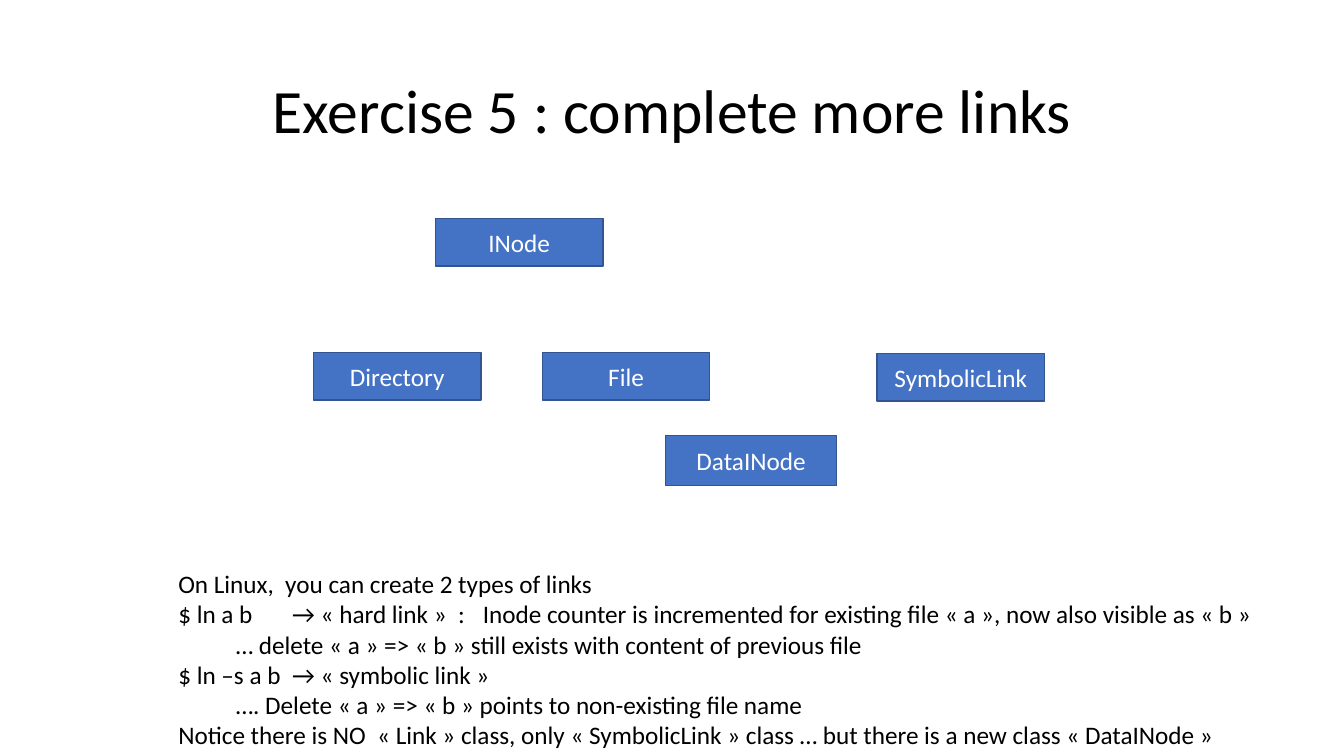
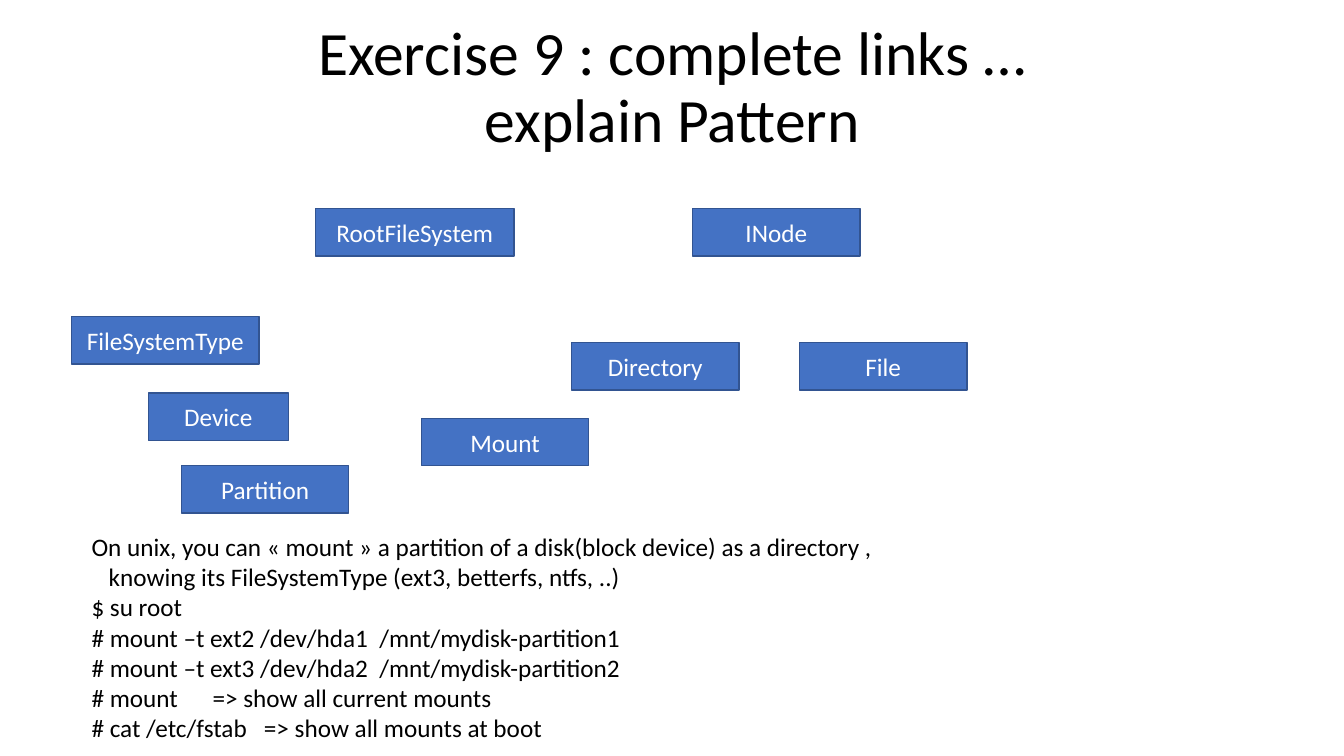
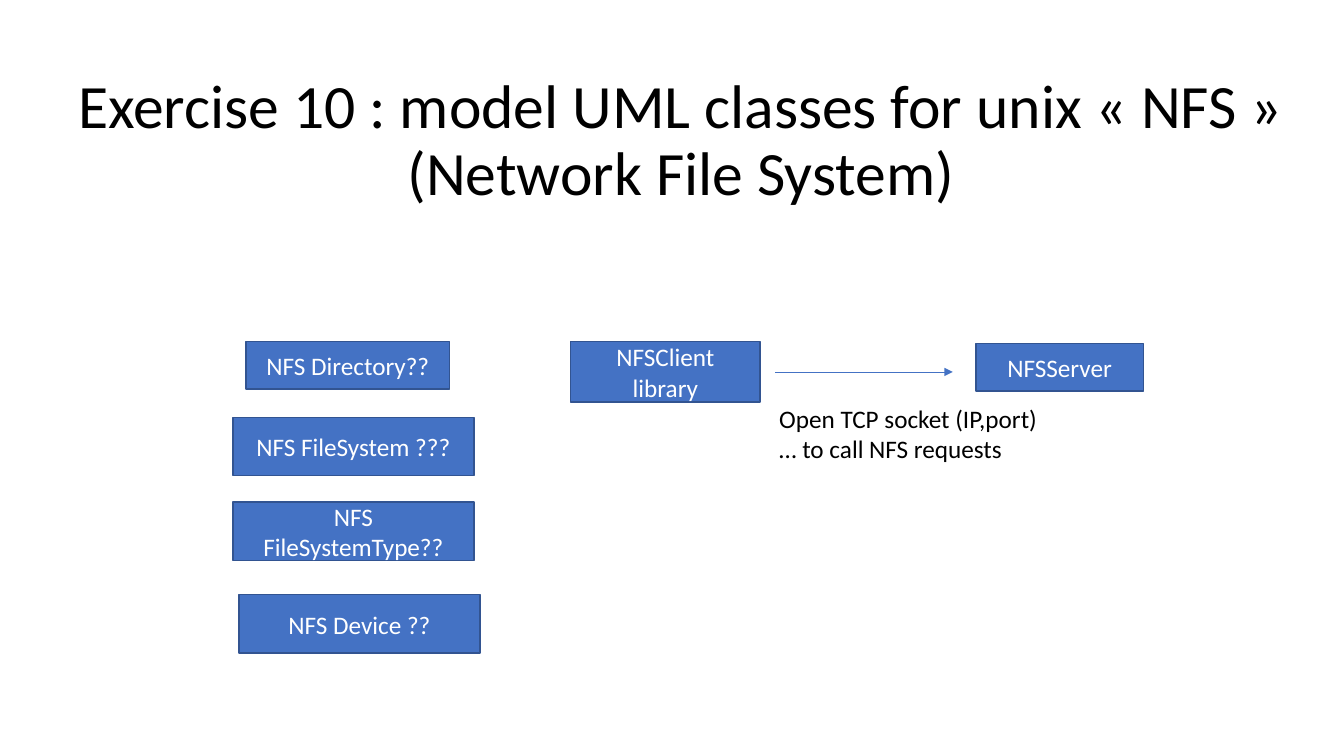
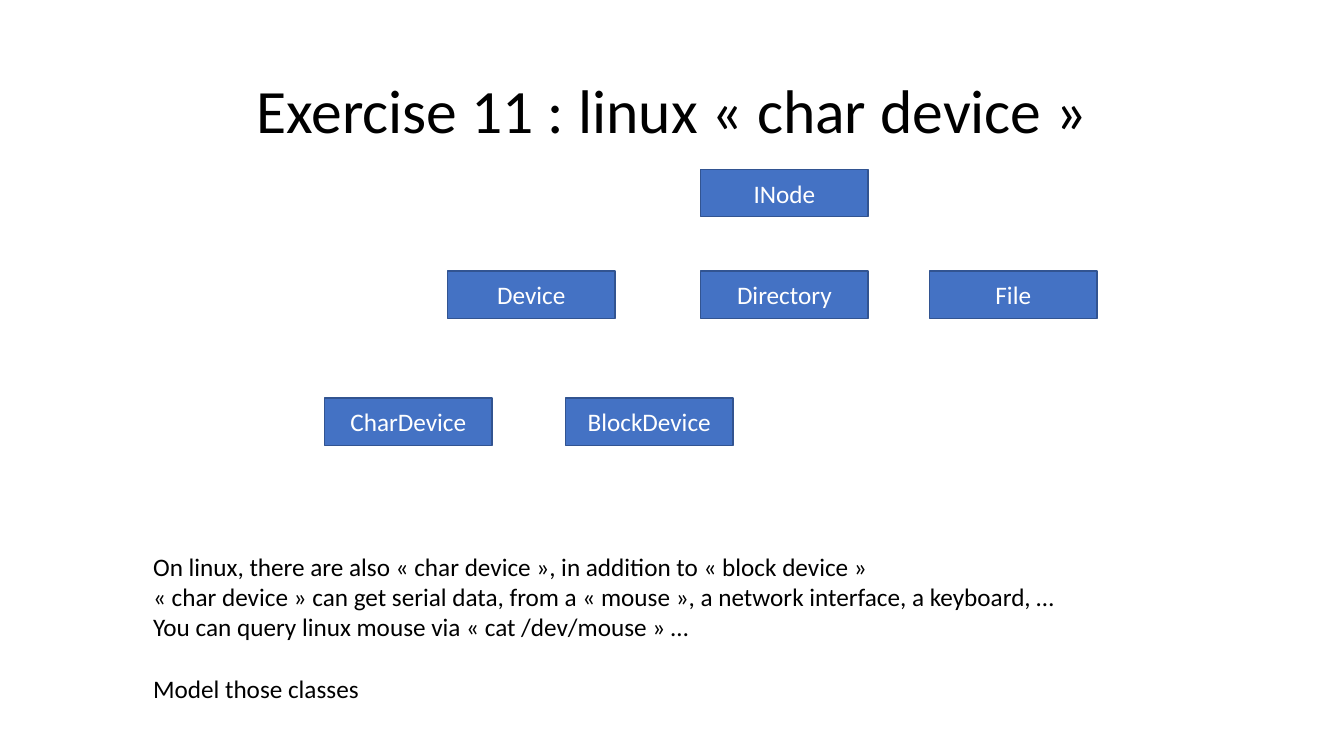
from dataclasses import dataclass

import pptx
import pptx.dml.color
import pptx.enum.shapes
import pptx.enum.text
import pptx.oxml
import pptx.oxml.ns
import pptx.slide
import pptx.text.text
import pptx.util
from pptx.util import Inches

Color = pptx.dml.color.RGBColor
Align = pptx.enum.text.PP_ALIGN
Anchor = pptx.enum.text.MSO_ANCHOR

BLUE = Color(0x44, 0x72, 0xC4)
NAVY = Color(0x32, 0x54, 0x91)
WHITE = Color(0xFF, 0xFF, 0xFF)
BLACK = Color(0x00, 0x00, 0x00)
FONT = "Calibri"
HEAD, BODY = 44, 18
NS = pptx.oxml.ns.nsdecls("a")


@dataclass(frozen=True)
class Box:
    """A class of the model; sizes are in inches."""
    text: str
    left: float
    top: float
    width: float = 1.66
    height: float = 0.47


@dataclass(frozen=True)
class Line:
    """One line of a note; indent and tab stops are in inches."""
    text: str
    indent: float = 0
    tabs: tuple[float, ...] = ()
    before: float = 0


@dataclass(frozen=True)
class Area:
    left: float
    top: float
    width: float
    height: float


@dataclass(frozen=True)
class Note:
    area: Area
    lines: tuple[Line, ...]


@dataclass(frozen=True)
class Arrow:
    left: float
    right: float
    y: float


@dataclass(frozen=True)
class Page:
    title: str
    boxes: tuple[Box, ...]
    note: Note
    area: Area = Area(0.92, 0.4, 11.5, 1.45)
    arrow: Arrow | None = None


PAGES = (
    Page(
        "Exercise 5 : complete more links",
        (
            Box("INode", 4.32, 2.17),
            Box("Directory", 3.11, 3.5),
            Box("File", 5.38, 3.5),
            Box("SymbolicLink", 8.7, 3.51),
            Box("DataINode", 6.6, 4.32, 1.7, 0.5),
        ),
        Note(Area(1.67, 5.59, 11.01, 1.92), (
            Line("On Linux,  you can create 2 types of links"),
            Line("$ ln a b\t→ « hard link »  :\tInode counter is incremented for "
                 "existing file « a », now also visible as « b »", tabs=(1.13, 3.02)),
            Line("… delete « a » => « b » still exists with content of previous file",
                 indent=0.57),
            Line("$ ln –s a b\t→ « symbolic link »", tabs=(1.13,)),
            Line("…. Delete « a » => « b » points to non-existing file name",
                 indent=0.57),
            Line("Notice there is NO  « Link » class, only « SymbolicLink » class … "
                 "but there is a new class « DataINode »"),
        )),
    ),
    Page(
        "Exercise 9 : complete links …\nexplain Pattern",
        (
            Box("RootFileSystem", 3.13, 2.07, 1.97),
            Box("INode", 6.87, 2.07),
            Box("FileSystemType", 0.71, 3.14, 1.86),
            Box("Directory", 5.67, 3.4),
            Box("File", 7.93, 3.4),
            Box("Device", 1.47, 3.9, 1.39),
            Box("Mount", 4.18, 4.15),
            Box("Partition", 1.8, 4.62),
        ),
        Note(Area(0.81, 5.22, 8.1, 2.22), (
            Line("On unix, you can « mount » a partition of a disk(block device) "
                 "as a directory ,"),
            Line("knowing its FileSystemType (ext3, betterfs, ntfs, ..)", indent=0.17),
            Line("$ su root"),
            Line("# mount –t ext2 /dev/hda1  /mnt/mydisk-partition1"),
            Line("# mount –t ext3 /dev/hda2  /mnt/mydisk-partition2"),
            Line("# mount\t=> show all current mounts", tabs=(1.2,)),
            Line("# cat /etc/fstab\t=> show all mounts at boot", tabs=(1.71,)),
        )),
        area=Area(0.92, 0.16, 11.5, 1.45),
    ),
    Page(
        "Exercise 10 : model UML classes for unix « NFS » (Network File System)",
        (
            Box("NFS Directory??", 2.44, 3.39, 2.02),
            Box("NFS FileSystem ???", 2.31, 4.14, 2.39, 0.58),
            Box("NFS FileSystemType??", 2.31, 4.98, 2.39, 0.58),
            Box("NFS Device ??", 2.37, 5.9, 2.39, 0.58),
            Box("NFSClient\nlibrary", 5.66, 3.39, 1.88, 0.6),
            Box("NFSServer", 9.68, 3.41),
        ),
        Note(Area(7.63, 3.95, 2.79, 0.71), (
            Line("Open TCP socket (IP,port)"),
            Line("… to call NFS requests"),
        )),
        area=Area(0.4, 0.41, 12.71, 2),
        arrow=Arrow(7.69, 9.45, 3.69),
    ),
    Page(
        "Exercise 11 : linux « char device »",
        (
            Box("INode", 6.95, 1.68),
            Box("Device", 4.44, 2.69),
            Box("Directory", 6.95, 2.69),
            Box("File", 9.22, 2.69),
            Box("CharDevice", 3.22, 3.95),
            Box("BlockDevice", 5.61, 3.95),
        ),
        Note(Area(1.42, 5.42, 9.25, 1.92), (
            Line("On linux, there are also « char device », in addition to "
                 "« block device »"),
            Line("« char device » can get serial data, from a « mouse », "
                 "a network interface, a keyboard, …"),
            Line("You can query linux mouse via « cat /dev/mouse » …"),
            Line("Model those classes", before=22),
        )),
    ),
)


def write(para: pptx.text.text._Paragraph, text: str, size: float, color: Color) -> None:
    """Add the text as runs, with a line break at each newline."""
    for i, part in enumerate(text.split("\n")):
        if i:
            para.add_line_break()
        run = para.add_run()
        run.text = part
        run.font.name = FONT
        run.font.size = pptx.util.Pt(size)
        run.font.color.rgb = color


def add_frame(slide: pptx.slide.Slide, area: Area) -> pptx.text.text.TextFrame:
    shape = slide.shapes.add_textbox(
        Inches(area.left), Inches(area.top), Inches(area.width), Inches(area.height))
    frame = shape.text_frame
    frame.word_wrap = True
    return frame


def add_title(slide: pptx.slide.Slide, text: str, area: Area) -> None:
    frame = add_frame(slide, area)
    frame.vertical_anchor = Anchor.MIDDLE
    para = frame.paragraphs[0]
    para.alignment = Align.CENTER
    para.line_spacing = 0.9
    write(para, text, HEAD, BLACK)


def add_box(slide: pptx.slide.Slide, box: Box) -> None:
    shape = slide.shapes.add_shape(
        pptx.enum.shapes.MSO_SHAPE.RECTANGLE,
        Inches(box.left), Inches(box.top), Inches(box.width), Inches(box.height))
    shape.shadow.inherit = False
    shape.fill.solid()
    shape.fill.fore_color.rgb = BLUE
    shape.line.color.rgb = NAVY
    shape.line.width = pptx.util.Pt(1)
    frame = shape.text_frame
    frame.word_wrap = True
    frame.vertical_anchor = Anchor.MIDDLE
    para = frame.paragraphs[0]
    para.alignment = Align.CENTER
    write(para, box.text, BODY, WHITE)


def set_tabs(para: pptx.text.text._Paragraph, tabs: tuple[float, ...]) -> None:
    stops = "".join(f'<a:tab pos="{Inches(tab)}" algn="l"/>' for tab in tabs)
    para._p.get_or_add_pPr().append(
        pptx.oxml.parse_xml(f"<a:tabLst {NS}>{stops}</a:tabLst>"))


def add_note(slide: pptx.slide.Slide, note: Note) -> None:
    frame = add_frame(slide, note.area)
    for i, line in enumerate(note.lines):
        para = frame.add_paragraph() if i else frame.paragraphs[0]
        if line.tabs:
            set_tabs(para, line.tabs)
        if line.indent:
            para._p.get_or_add_pPr().set("marL", str(Inches(line.indent)))
        if line.before:
            para.space_before = pptx.util.Pt(line.before)
        write(para, line.text, BODY, BLACK)


def add_arrow(slide: pptx.slide.Slide, arrow: Arrow) -> None:
    link = slide.shapes.add_connector(
        pptx.enum.shapes.MSO_CONNECTOR.STRAIGHT,
        Inches(arrow.left), Inches(arrow.y), Inches(arrow.right), Inches(arrow.y))
    link.line.color.rgb = BLUE
    link.line.width = pptx.util.Pt(0.5)
    link.line._get_or_add_ln().append(
        pptx.oxml.parse_xml(f'<a:tailEnd {NS} type="triangle"/>'))
    link._element.spPr.append(pptx.oxml.parse_xml(f"<a:effectLst {NS}/>"))


def main() -> None:
    deck = pptx.Presentation()
    deck.slide_width = Inches(13.33)
    deck.slide_height = Inches(7.5)
    blank = deck.slide_layouts[6]
    for page in PAGES:
        slide = deck.slides.add_slide(blank)
        add_title(slide, page.title, page.area)
        for box in page.boxes:
            add_box(slide, box)
        if page.arrow:
            add_arrow(slide, page.arrow)
        add_note(slide, page.note)
    deck.save("out.pptx")


if __name__ == "__main__":
    main()
